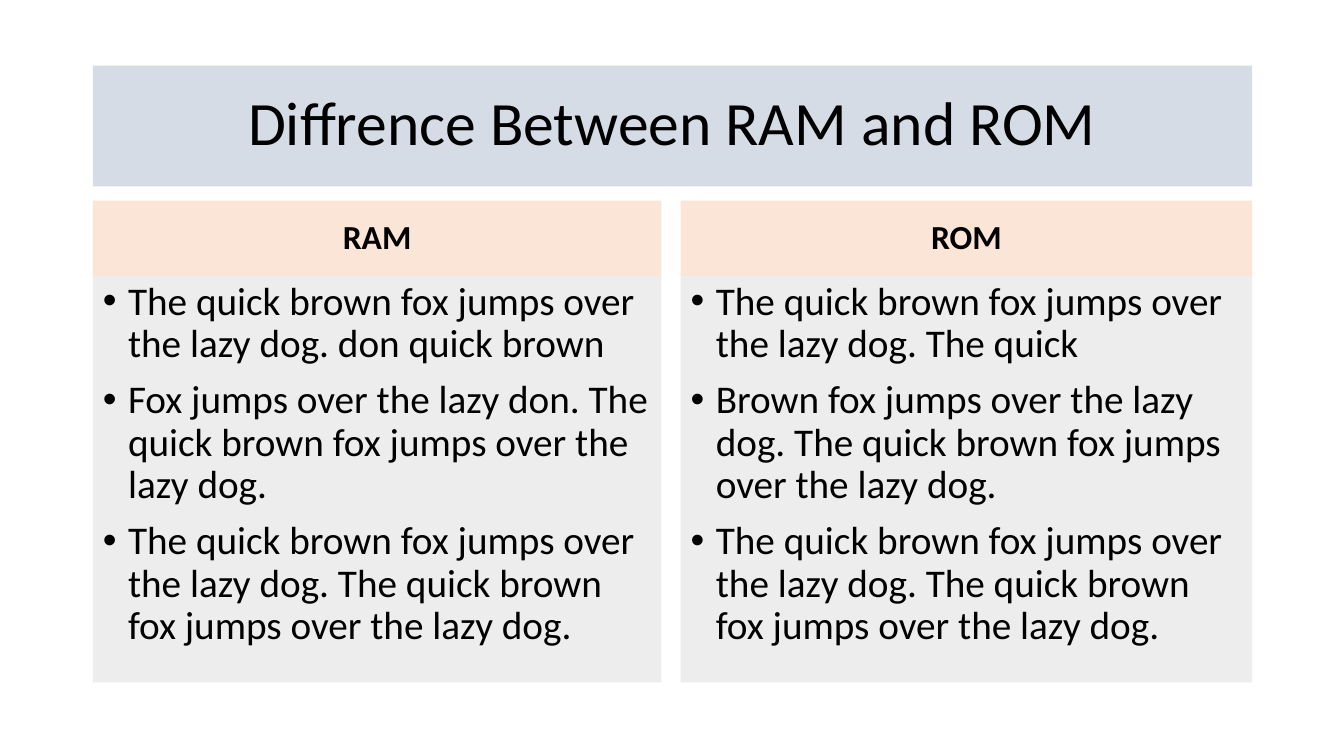
from pptx import Presentation
from pptx.dml.color import RGBColor
from pptx.enum.text import MSO_ANCHOR, MSO_AUTO_SIZE, PP_ALIGN
from pptx.oxml.ns import qn
from pptx.util import Inches, Pt
from lxml.etree import SubElement

COLORS = {"title": "D6DCE5", "head": "FBE5D6", "list": "EDEDED", "text": "000000"}
FONT = "Calibri"
FOX = "The quick brown fox jumps over the lazy dog."


def write(par, text, size=28, bold=False, align=PP_ALIGN.LEFT, before=10, bullet=False):
    """Fill one paragraph with formatted text."""
    par.alignment = align
    par.line_spacing = 0.9
    par.space_before = Pt(before)
    if bullet:
        props = par._p.get_or_add_pPr()
        props.set("marL", str(Inches(0.25)))
        props.set("indent", str(Inches(-0.25)))
        SubElement(props, qn("a:buFont")).set("typeface", "Arial")
        SubElement(props, qn("a:buChar")).set("char", "•")
    run = par.add_run()
    run.text = text
    font = run.font
    font.name, font.size, font.bold = FONT, Pt(size), bold
    font.color.rgb = RGBColor.from_string(COLORS["text"])


class Deck:
    """Holds the colours and the current slide."""

    def __init__(self, slide, colors):
        self.slide = slide
        self.colors = colors

    def panel(self, idx, box, color, anchor):
        """Move and fill a placeholder; return its text frame."""
        shape = self.slide.placeholders[idx]
        shape.left, shape.top, shape.width, shape.height = map(Inches, box)
        shape.fill.solid()
        shape.fill.fore_color.rgb = RGBColor.from_string(self.colors[color])
        frame = shape.text_frame
        frame.auto_size = MSO_AUTO_SIZE.NONE
        frame.word_wrap = True
        frame.vertical_anchor = anchor
        return frame

    def title(self, text, box):
        frame = self.panel(0, box, "title", MSO_ANCHOR.MIDDLE)
        write(frame.paragraphs[0], text, size=44, align=PP_ALIGN.CENTER, before=0)

    def head(self, idx, text, box):
        frame = self.panel(idx, box, "head", MSO_ANCHOR.MIDDLE)
        write(frame.paragraphs[0], text, size=24, bold=True, align=PP_ALIGN.CENTER)

    def items(self, idx, texts, box):
        frame = self.panel(idx, box, "list", MSO_ANCHOR.TOP)
        for i, text in enumerate(texts):
            par = frame.add_paragraph() if i else frame.paragraphs[0]
            write(par, text, bullet=True)


def main():
    prs = Presentation()
    prs.slide_width, prs.slide_height = Inches(13.33), Inches(7.5)
    # Comparison layout: title, then a heading and a list per column
    deck = Deck(prs.slides.add_slide(prs.slide_layouts[4]), COLORS)

    # Title band
    deck.title("Diffrence Between RAM and ROM", (0.92, 0.65, 11.5, 1.2))

    # Two columns
    columns = [
        ("RAM", 0.92, 5.64, [
            f"{FOX} don quick brown",
            f"Fox jumps over the lazy don. {FOX}",
            f"{FOX} {FOX}",
        ]),
        ("ROM", 6.75, 5.67, [
            f"{FOX} The quick",
            f"Brown fox jumps over the lazy dog. {FOX}",
            f"{FOX} {FOX}",
        ]),
    ]
    top, high = 1.99, 0.75
    for i, (name, left, width, texts) in enumerate(columns):
        deck.head(2 * i + 1, name, (left, top, width, high))
        deck.items(2 * i + 2, texts, (left, top + high, width, 4.03))

    prs.save("out.pptx")


if __name__ == "__main__":
    main()
